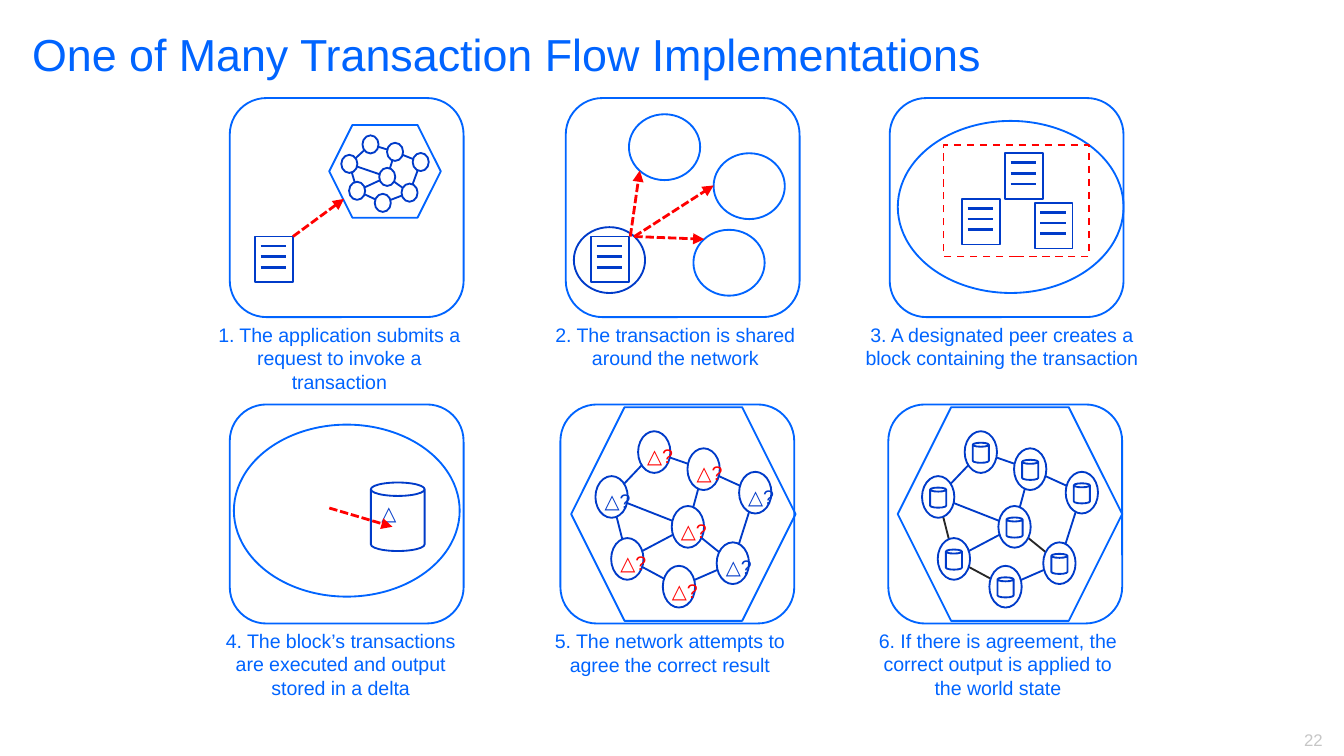
from dataclasses import dataclass

from lxml import etree
from pptx import Presentation
from pptx.dml.color import RGBColor
from pptx.enum.dml import MSO_LINE_DASH_STYLE as Dash
from pptx.enum.shapes import MSO_CONNECTOR, MSO_SHAPE as Kind
from pptx.enum.text import PP_ALIGN as Align
from pptx.oxml.ns import qn
from pptx.util import Inches, Pt


@dataclass(frozen=True)
class Theme:
    font: str = "Arial"
    blue: str = "0064FF"
    navy: str = "003BC9"
    red: str = "FF0000"
    dark: str = "272727"
    gray: str = "C6C6C6"
    white: str = "FFFFFF"
    title: float = 24
    body: float = 10.5
    number: float = 9
    thin: float = 1
    thick: float = 1.5


THEME = Theme()
PANEL_W, PANEL_H = 1.74, 1.63
DOCUMENT_W, DOCUMENT_H = 0.28, 0.34
PEER_W, PEER_H = 0.53, 0.49

# Node centres as fractions of the hexagon's width and height
NODES = {
    "left": (0.18, 0.42), "top": (0.37, 0.21), "centre": (0.52, 0.56),
    "lower left": (0.25, 0.71), "upper": (0.59, 0.29), "bottom": (0.48, 0.84),
    "right": (0.82, 0.4), "lower right": (0.72, 0.73),
}
EDGES = [
    ("top", "upper"), ("top", "left"), ("upper", "centre"),
    ("left", "lower left"), ("left", "centre"), ("lower left", "centre"),
    ("lower left", "bottom"), ("bottom", "lower right"),
    ("centre", "lower right"), ("lower right", "right"), ("upper", "right"),
]
DARK_EDGES = {("left", "lower left"), ("lower left", "bottom"),
              ("centre", "lower right")}
BLUE_ANSWERS = {"left", "right", "lower right"}


# Basic parts
def add_text(shapes, text, left, top, width, height, size=THEME.body,
             color=THEME.blue, align=Align.LEFT, wrap=True, indent=0.0,
             inset_top=0.05):
    box = shapes.add_textbox(Inches(left), Inches(top), Inches(width), Inches(height))
    frame = box.text_frame
    frame.word_wrap = wrap
    frame.margin_left = Inches(0.1 + indent)
    frame.margin_top = Inches(inset_top)
    paragraph = frame.paragraphs[0]
    paragraph.alignment = align
    run = paragraph.add_run()
    run.text = text
    run.font.name = THEME.font
    run.font.size = Pt(size)
    run.font.color.rgb = RGBColor.from_string(color)


def add_outline(shapes, kind, left, top, width, height, color=THEME.blue,
                fill=None, dash=None):
    shape = shapes.add_shape(kind, Inches(left), Inches(top), Inches(width), Inches(height))
    shape.shadow.inherit = False
    if fill:
        shape.fill.solid()
        shape.fill.fore_color.rgb = RGBColor.from_string(fill)
    else:
        shape.fill.background()
    shape.line.color.rgb = RGBColor.from_string(color)
    shape.line.width = Pt(THEME.thin)
    if dash:
        shape.line.dash_style = dash


def add_line(shapes, x1, y1, x2, y2, color=THEME.navy, weight=THEME.thin):
    line = shapes.add_connector(MSO_CONNECTOR.STRAIGHT, Inches(x1), Inches(y1),
                                Inches(x2), Inches(y2))
    line.line.color.rgb = RGBColor.from_string(color)
    line.line.width = Pt(weight)
    etree.SubElement(line._element.spPr, qn("a:effectLst"))
    return line


def add_arrow(shapes, x1, y1, x2, y2):
    arrow = add_line(shapes, x1, y1, x2, y2, THEME.red, THEME.thick)
    arrow.line.dash_style = Dash.SQUARE_DOT
    outline = arrow._element.spPr.find(qn("a:ln"))
    etree.SubElement(outline, qn("a:tailEnd"), type="triangle")


# Repeated symbols
def add_document(shapes, left, top):
    add_outline(shapes, Kind.RECTANGLE, left, top, DOCUMENT_W, DOCUMENT_H, THEME.navy)
    for offset in (0.07, 0.15, 0.23):
        add_line(shapes, left + 0.04, top + offset, left + 0.23, top + offset,
                 weight=THEME.thick)


def add_network(shapes, left, top, width, height, dark_edges=()):
    """Draw a hexagon of linked nodes and return the node centres."""
    add_outline(shapes, Kind.HEXAGON, left, top, width, height)
    centres = {name: (left + x * width, top + y * height)
               for name, (x, y) in NODES.items()}
    for edge in EDGES:
        start, end = edge
        color = THEME.dark if edge in dark_edges else THEME.navy
        add_line(shapes, *centres[start], *centres[end], color=color)
    node_w, node_h = 0.144 * width, 0.195 * height
    for x, y in centres.values():
        add_outline(shapes, Kind.OVAL, x - node_w / 2, y - node_h / 2,
                    node_w, node_h, THEME.navy, THEME.white)
    return centres


# Panel contents, each relative to the panel's top left corner
def draw_request(shapes, left, top):
    add_network(shapes, left + 0.74, top + 0.2, 0.83, 0.69)
    add_document(shapes, left + 0.19, top + 1.03)
    add_arrow(shapes, left + 0.47, top + 1.03, left + 0.85, top + 0.75)


def draw_sharing(shapes, left, top):
    add_document(shapes, left + 0.19, top + 1.03)
    add_outline(shapes, Kind.OVAL, left + 0.06, top + 0.96, PEER_W, PEER_H, THEME.navy)
    for x, y in ((0.95, 0.98), (1.1, 0.41), (0.47, 0.12)):
        add_outline(shapes, Kind.OVAL, left + x, top + y, PEER_W, PEER_H)
    for start_x, end_x, end_y in ((0.48, 0.55, 0.54), (0.51, 1.1, 0.65), (0.51, 1.03, 1.05)):
        add_arrow(shapes, left + start_x, top + 1.03, left + end_x, top + end_y)


def draw_block(shapes, left, top):
    add_outline(shapes, Kind.OVAL, left + 0.06, top + 0.17, 1.68, 1.28)
    add_outline(shapes, Kind.RECTANGLE, left + 0.4, top + 0.35, 1.08, 0.83,
                THEME.red, dash=Dash.DASH)
    for x, y in ((0.86, 0.41), (0.54, 0.75), (1.08, 0.78)):
        add_document(shapes, left + x, top + y)


def draw_execution(shapes, left, top):
    add_outline(shapes, Kind.OVAL, left + 0.03, top + 0.15, 1.68, 1.28)
    add_outline(shapes, Kind.CAN, left + 1.05, top + 0.58, 0.4, 0.51, THEME.navy)
    add_text(shapes, "△", left + 1.03, top + 0.67, 0.64, 0.28, color=THEME.navy)
    add_arrow(shapes, left + 0.74, top + 0.77, left + 1.21, top + 0.91)


def draw_agreement(shapes, left, top):
    centres = add_network(shapes, left + 0.08, top + 0.02, 1.67, 1.59)
    for name, (x, y) in centres.items():
        color = THEME.navy if name in BLUE_ANSWERS else THEME.red
        add_text(shapes, "△?", x - 0.15, y - 0.11, 0.46, 0.28, color=color, wrap=False)


def draw_world_state(shapes, left, top):
    centres = add_network(shapes, left + 0.07, top + 0.02, 1.67, 1.59, DARK_EDGES)
    for x, y in centres.values():
        add_outline(shapes, Kind.CAN, x - 0.06, y - 0.07, 0.12, 0.15, THEME.navy)


def add_panel(slide, left, top, caption, draw, caption_x=-0.36, caption_w=2.2,
              caption_h=0.63):
    shapes = slide.shapes.add_group_shape().shapes
    add_outline(shapes, Kind.ROUNDED_RECTANGLE, left, top, PANEL_W, PANEL_H)
    add_text(shapes, caption, left + caption_x, top + 1.61, caption_w, caption_h,
             align=Align.CENTER, indent=0.15, inset_top=0.06)
    draw(shapes, left, top)


def main():
    presentation = Presentation()
    presentation.slide_width = Inches(10)
    presentation.slide_height = presentation.slide_width * 9 // 16
    slide = presentation.slides.add_slide(presentation.slide_layouts[6])

    # Title and page number
    add_text(slide.shapes, "One of Many Transaction Flow Implementations",
             0.14, 0.16, 8.5, 1.11, size=THEME.title, inset_top=0.04)
    add_text(slide.shapes, "22", 9.36, 5.38, 0.58, 0.25, size=THEME.number,
             color=THEME.gray, align=Align.RIGHT)

    # Upper row
    upper, lower = 0.73, 3.01
    add_panel(slide, 1.71, upper,
              "1. The application submits a request to invoke a transaction", draw_request)
    add_panel(slide, 4.21, upper,
              "2. The transaction is shared around the network", draw_sharing,
              caption_h=0.45)
    add_panel(slide, 6.62, upper,
              "3. A designated peer creates a block containing the transaction",
              draw_block, caption_x=-0.47, caption_w=2.46, caption_h=0.45)

    # Lower row
    add_panel(slide, 1.71, lower,
              "4. The block’s transactions are executed and output stored in a delta",
              draw_execution, caption_x=-0.32, caption_w=2.14)
    add_panel(slide, 4.17, lower,
              "5. The network attempts to agree the correct result", draw_agreement,
              caption_h=0.45)
    add_panel(slide, 6.61, lower,
              "6. If there is agreement, the correct output is applied to the world state",
              draw_world_state)

    presentation.save("out.pptx")


if __name__ == "__main__":
    main()
